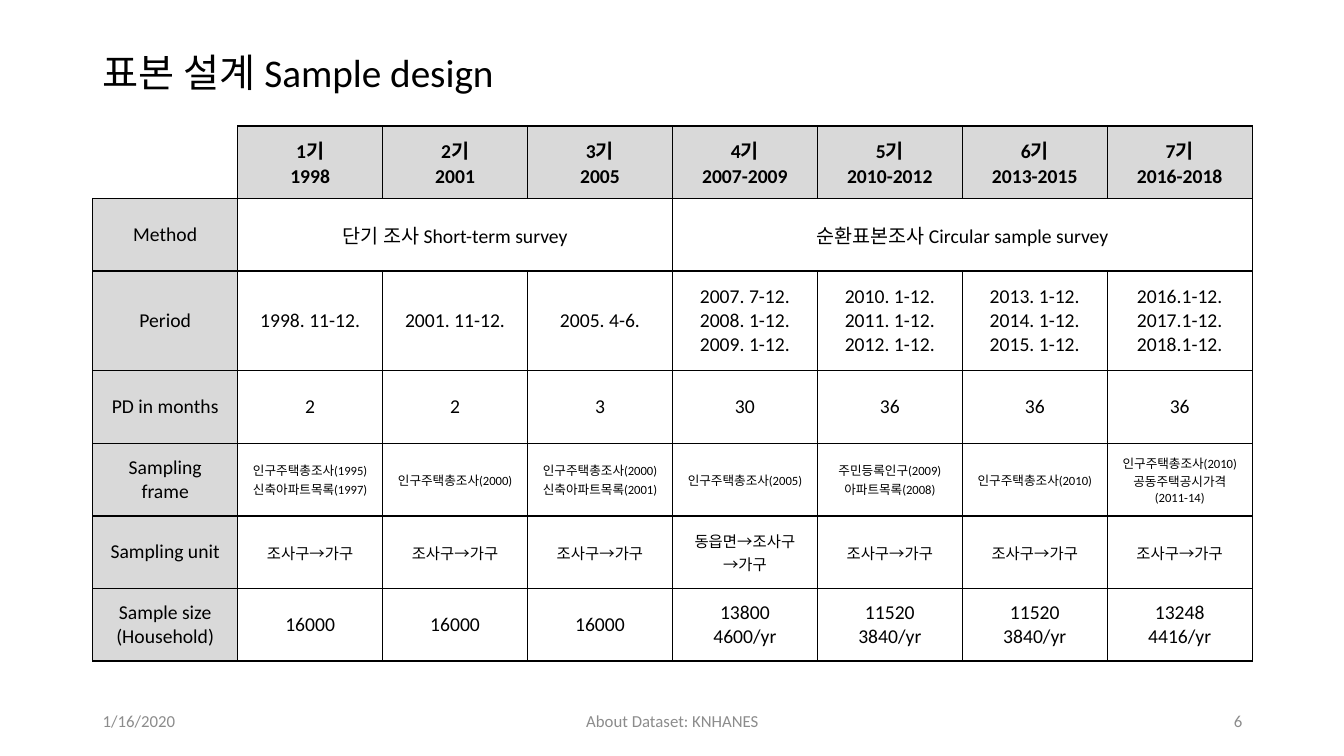
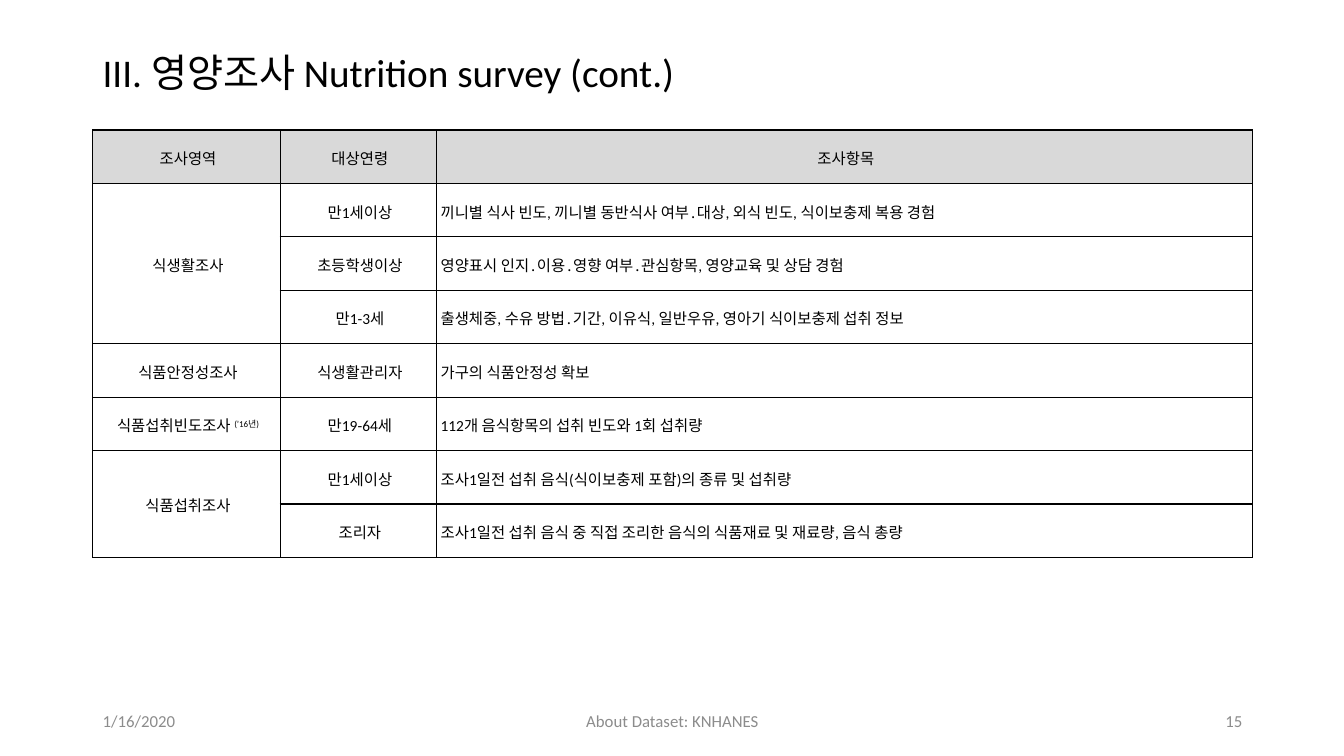
import dataclasses
import typing

import pptx
import pptx.dml.color
import pptx.enum.text
import pptx.oxml
import pptx.oxml.ns
import pptx.util

Inches = pptx.util.Inches
Align = pptx.enum.text.PP_ALIGN
Anchor = pptx.enum.text.MSO_ANCHOR

COLORS = {"text": "000000", "border": "000000", "header": "D9D9D9", "footer": "8C8C8C"}
FONT = "Calibri"
LEFT, CONTENT_WIDTH = 0.92, 11.5
FOOTER_TOP, FOOTER_HEIGHT = 6.95, 0.4
DATE, FOOTER = "1/16/2020", "About Dataset: KNHANES"


@dataclasses.dataclass(frozen=True)
class TextStyle:
    """Look of one piece of text."""

    size: float
    color: str = "text"
    bold: bool = False
    align: Align = Align.LEFT
    line_spacing: float = 1.0
    indent: float = 0


@dataclasses.dataclass(frozen=True)
class Cell:
    """One table cell; in its text, newlines split paragraphs and \\v breaks lines."""

    text: str
    style: TextStyle
    header: bool = False
    superscript: str = ""
    edges: str = "LRTB"


@dataclasses.dataclass(frozen=True)
class Merge:
    """A block of cells joined into one."""

    row: int
    column: int
    rows: int
    columns: int


@dataclasses.dataclass(frozen=True)
class Grid:
    """A whole table: geometry, cells and merges."""

    top: float
    widths: list[float]
    heights: list[float]
    rows: list[list[Cell]]
    merges: list[Merge]
    margins: tuple[float, float] = (0.1, 0.05)


TITLE = TextStyle(28, line_spacing=0.9)
CENTERED = TextStyle(14, align=Align.CENTER)
BOLD = dataclasses.replace(CENTERED, bold=True)
SMALL = dataclasses.replace(CENTERED, size=11)
TINY = dataclasses.replace(CENTERED, size=9)
ITEM_CENTERED = TextStyle(11, align=Align.CENTER, line_spacing=1.1, indent=0.03)
ITEM_LEFT = dataclasses.replace(ITEM_CENTERED, align=Align.LEFT)
ITEM_JUSTIFIED = dataclasses.replace(ITEM_CENTERED, align=Align.JUSTIFY)


def format_text(text_frame: typing.Any, style: TextStyle) -> None:
    """Apply a style to every paragraph and run of a text frame."""
    for paragraph in text_frame.paragraphs:
        paragraph.alignment = style.align
        paragraph.line_spacing = style.line_spacing
        if style.indent:
            properties = paragraph._p.get_or_add_pPr()
            properties.set("marL", str(Inches(style.indent)))
            properties.set("indent", "0")
        for run in paragraph.runs:
            run.font.name = FONT
            run.font.size = pptx.util.Pt(style.size)
            run.font.bold = style.bold
            run.font.color.rgb = pptx.dml.color.RGBColor.from_string(COLORS[style.color])


def add_text(slide: typing.Any, text: str, box: tuple[float, float, float, float],
             style: TextStyle) -> None:
    """Add a vertically centred text box."""
    text_frame = slide.shapes.add_textbox(*map(Inches, box)).text_frame
    text_frame.word_wrap = True
    text_frame.vertical_anchor = Anchor.MIDDLE
    text_frame.text = text
    format_text(text_frame, style)


def set_borders(cell: typing.Any, edges: str) -> None:
    """Draw the named edges of a cell and clear the others."""
    properties = cell._tc.get_or_add_tcPr()
    namespace = pptx.oxml.ns.nsdecls("a")
    for edge in "LRTB":
        paint = "<a:noFill/>"
        if edge in edges:
            paint = f'<a:solidFill><a:srgbClr val="{COLORS["border"]}"/></a:solidFill>'
        properties.append(pptx.oxml.parse_xml(
            f'<a:ln{edge} {namespace} w="{pptx.util.Pt(1)}">{paint}</a:ln{edge}>'))


def fill_cell(cell: typing.Any, content: Cell, margins: tuple[float, float]) -> None:
    """Write and format one table cell."""
    cell.margin_left = cell.margin_right = Inches(margins[0])
    cell.margin_top = cell.margin_bottom = Inches(margins[1])
    cell.vertical_anchor = Anchor.MIDDLE
    set_borders(cell, content.edges)
    if content.header:
        cell.fill.solid()
        cell.fill.fore_color.rgb = pptx.dml.color.RGBColor.from_string(COLORS["header"])
    else:
        cell.fill.background()
    cell.text_frame.text = content.text
    if content.superscript:
        run = cell.text_frame.paragraphs[0].add_run()
        run.text = content.superscript
        run._r.get_or_add_rPr().set("baseline", "30000")
    format_text(cell.text_frame, content.style)


def add_grid(slide: typing.Any, grid: Grid) -> None:
    """Add a bordered table."""
    table = slide.shapes.add_table(
        len(grid.heights), len(grid.widths), Inches(LEFT), Inches(grid.top),
        Inches(CONTENT_WIDTH), Inches(sum(grid.heights))).table
    table.first_row = table.horz_banding = False
    for column, width in zip(table.columns, grid.widths):
        column.width = Inches(width)
    for row, height in zip(table.rows, grid.heights):
        row.height = Inches(height)
    for row_index, contents in enumerate(grid.rows):
        for column_index, content in enumerate(contents):
            fill_cell(table.cell(row_index, column_index), content, grid.margins)
    for merge in grid.merges:
        last = table.cell(merge.row + merge.rows - 1, merge.column + merge.columns - 1)
        table.cell(merge.row, merge.column).merge(last)


def add_slide(presentation: typing.Any, title: str, number: int, grid: Grid) -> None:
    """Add a slide with title, table and footer."""
    slide = presentation.slides.add_slide(presentation.slide_layouts[6])
    add_text(slide, title, (LEFT, 0.4, CONTENT_WIDTH, 0.69), TITLE)
    add_grid(slide, grid)
    for text, left, width, align in (
        (DATE, LEFT, 3, Align.LEFT),
        (FOOTER, 4.42, 4.5, Align.CENTER),
        (str(number), 9.42, 3, Align.RIGHT),
    ):
        add_text(slide, text, (left, FOOTER_TOP, width, FOOTER_HEIGHT),
                 TextStyle(12, "footer", align=align))


def sample_design_grid() -> Grid:
    """Describe the table of survey phases."""
    years = ["1998", "2001", "2005", "2007-2009", "2010-2012", "2013-2015", "2016-2018"]
    unit = "조사구→가구"
    body = [
        ("Method", CENTERED, ["단기 조사 Short-term survey", "", "",
                              "순환표본조사 Circular sample survey", "", "", ""]),
        ("Period", CENTERED, [
            "1998. 11-12.", "2001. 11-12.", "2005. 4-6.",
            "2007. 7-12.\n2008. 1-12.\n2009. 1-12.",
            "2010. 1-12.\n2011. 1-12.\n2012. 1-12.",
            "2013. 1-12.\n2014. 1-12.\n2015. 1-12.",
            "2016.1-12.\n2017.1-12.\n2018.1-12."]),
        ("PD in months", CENTERED, ["2", "2", "3", "30", "36", "36", "36"]),
        ("Sampling frame", TINY, [
            "인구주택총조사(1995)\v신축아파트목록(1997)", "인구주택총조사(2000)",
            "인구주택총조사(2000)\v신축아파트목록(2001)", "인구주택총조사(2005)",
            "주민등록인구(2009)\v아파트목록(2008)", "인구주택총조사(2010)",
            "인구주택총조사(2010)\v공동주택공시가격(2011-14)"]),
        ("Sampling unit", SMALL, [unit] * 3 + ["동읍면→조사구\v→가구"] + [unit] * 3),
        ("Sample size (Household)", CENTERED, ["16000"] * 3 + [
            "13800\v4600/yr", "11520\v3840/yr", "11520\v3840/yr", "13248\v4416/yr"]),
    ]
    phases = [Cell(f"{phase}기\n{year}", BOLD, header=True)
              for phase, year in enumerate(years, 1)]
    rows = [[Cell("", CENTERED, edges="RB"), *phases]]
    for label, style, values in body:
        rows.append([Cell(label, CENTERED, header=True),
                     *(Cell(value, style) for value in values)])
    heights = [0.99 if label == "Period" else 0.72 for label, _, _ in body]
    return Grid(1.25, [CONTENT_WIDTH / 8] * 8, [0.72, *heights], rows,
                [Merge(1, 1, 1, 3), Merge(1, 4, 1, 4)])


def nutrition_grid() -> Grid:
    """Describe the table of nutrition survey items."""
    frequency = "식품섭취빈도조사 "
    body = [
        ("식생활조사", "만1세이상",
         "끼니별 식사 빈도, 끼니별 동반식사 여부․대상, 외식 빈도, 식이보충제 복용 경험", ITEM_LEFT),
        ("", "초등학생이상",
         "영양표시 인지․이용․영향 여부․관심항목, 영양교육 및 상담 경험", ITEM_LEFT),
        ("", "만1-3세",
         "출생체중, 수유 방법․기간, 이유식, 일반우유, 영아기 식이보충제 섭취 정보", ITEM_LEFT),
        ("식품안정성조사", "식생활관리자", "가구의 식품안정성 확보", ITEM_LEFT),
        (frequency, "만19-64세", "112개 음식항목의 섭취 빈도와 1회 섭취량", ITEM_LEFT),
        ("식품섭취조사", "만1세이상",
         "조사1일전 섭취 음식(식이보충제 포함)의 종류 및 섭취량", ITEM_JUSTIFIED),
        ("", "조리자",
         "조사1일전 섭취 음식 중 직접 조리한 음식의 식품재료 및 재료량, 음식 총량", ITEM_JUSTIFIED),
    ]
    rows = [[Cell(text, ITEM_CENTERED, header=True)
             for text in ("조사영역", "대상연령", "조사항목")]]
    for area, age, items, style in body:
        note = "(’16년)" if area == frequency else ""
        rows.append([Cell(area, ITEM_CENTERED, superscript=note),
                     Cell(age, ITEM_CENTERED), Cell(items, style)])
    return Grid(1.29, [1.86, 1.55, 8.09], [0.53] * len(rows), rows,
                [Merge(1, 0, 3, 1), Merge(6, 0, 2, 1)], margins=(0.01, 0.01))


def main() -> None:
    """Build and save the presentation."""
    presentation = pptx.Presentation()
    presentation.slide_width = Inches(13.33)
    presentation.slide_height = Inches(7.5)
    add_slide(presentation, "표본 설계 Sample design", 6, sample_design_grid())
    add_slide(presentation, "III. 영양조사 Nutrition survey (cont.)", 15, nutrition_grid())
    presentation.save("out.pptx")


main()
